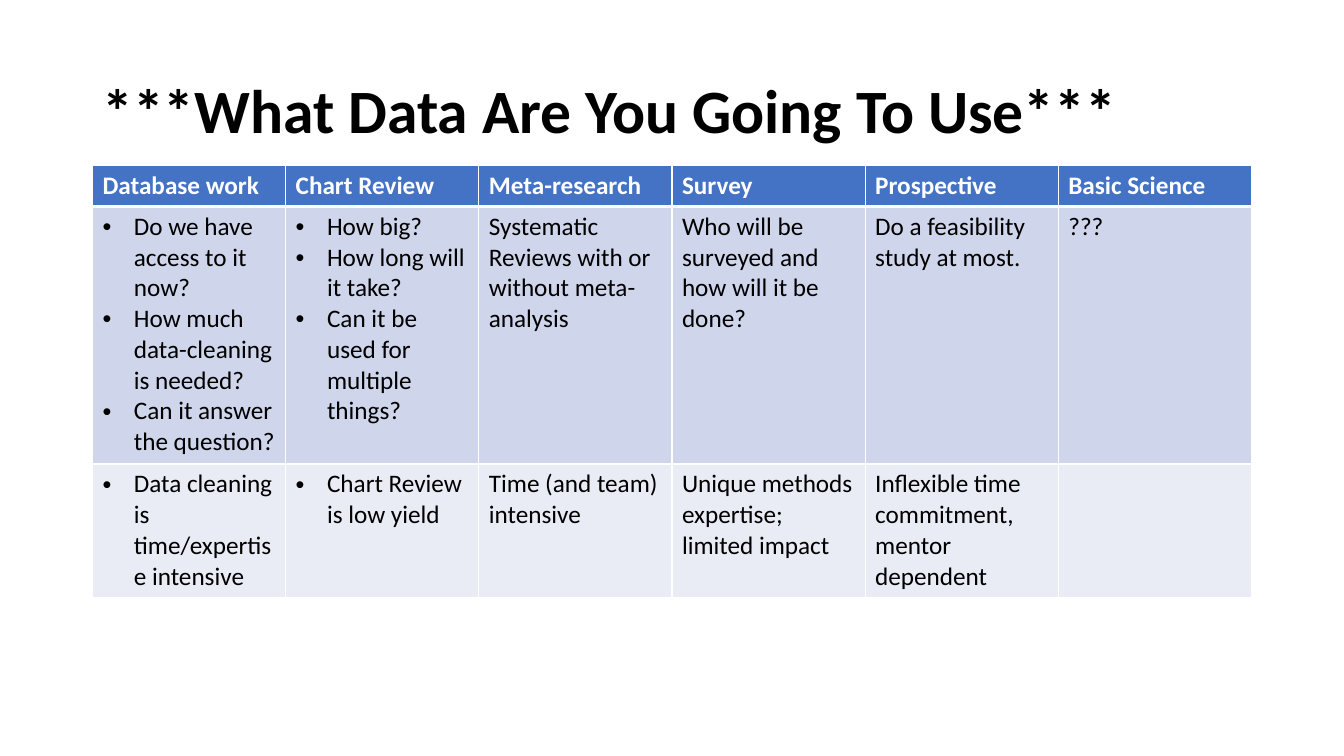
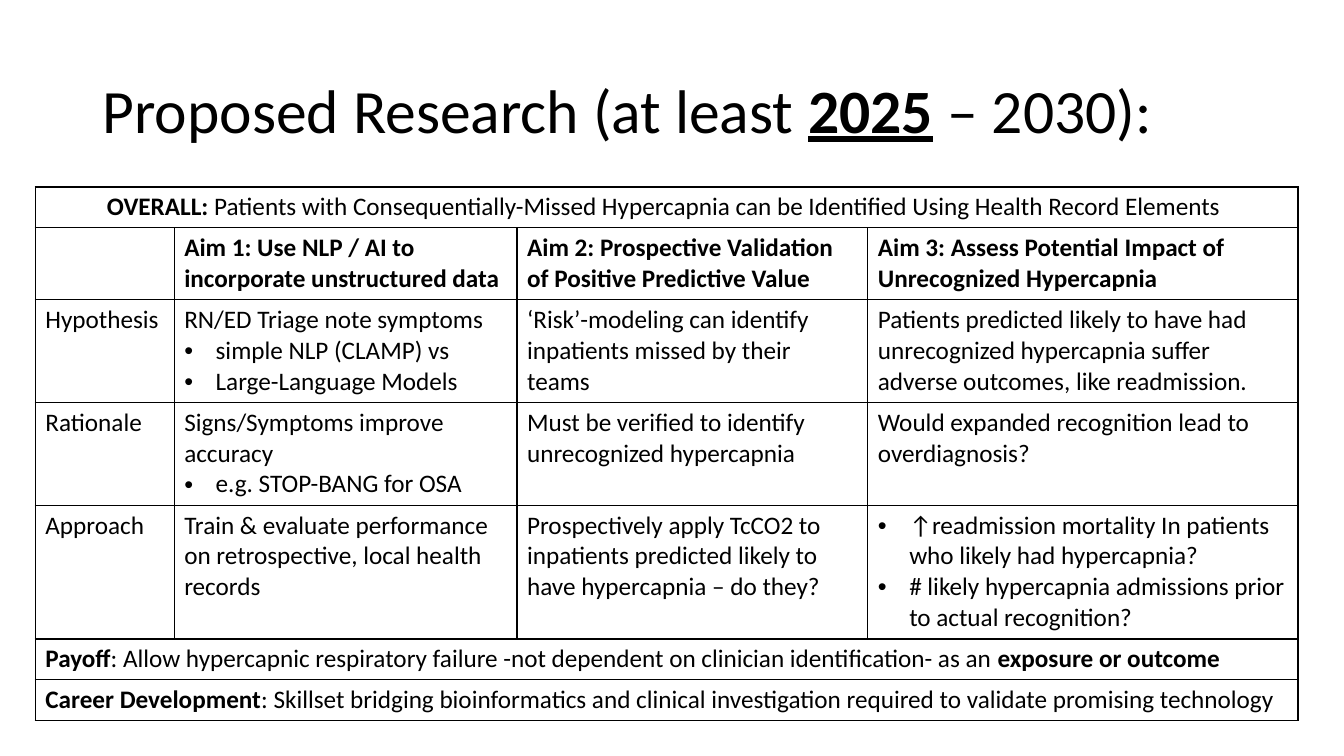
import pptx
import pptx.util
import pptx.dml.color
import pptx.enum.text
from lxml import etree
from pptx.oxml.ns import qn

Cm, Pt = pptx.util.Cm, pptx.util.Pt
ALIGN = pptx.enum.text.PP_ALIGN

COLOURS = {
    "ink": "000000",
    "paper": "FFFFFF",
    "header": "4472C4",
    "band": "CFD5EA",
    "light band": "E9EBF5",
}
FONT = "Calibri"
BULLET = "• "

# Text between bars is bold; a paragraph that starts with a bullet is a list item.
# Each cell is a list of paragraphs.
DATA_TITLE = "|***What Data Are You Going To Use***|"
DATA_ROWS = [
    [["|Database work|"], ["|Chart Review|"], ["|Meta-research|"],
     ["|Survey|"], ["|Prospective|"], ["|Basic Science|"]],
    [["• Do we have access to it now?",
      "• How much data-cleaning is needed?",
      "• Can it answer the question?"],
     ["• How big?",
      "• How long will it take?",
      "• Can it be used for multiple things?"],
     ["Systematic Reviews with or without meta-analysis"],
     ["Who will be surveyed and how will it be done?"],
     ["Do a feasibility study at most."],
     ["???"]],
    [["• Data cleaning is time/expertise intensive"],
     ["• Chart Review is low yield"],
     ["Time (and team) intensive"],
     ["Unique methods expertise; limited impact"],
     ["Inflexible time commitment, mentor dependent"],
     [""]],
]
DATA_LINES = [1, 8, 4]
DATA_FILLS = ["header", "band", "light band"]

AIMS_TITLE = "Proposed Research (at least |2025| – 2030):"
# A row with a single cell spans the table.
AIMS_ROWS = [
    [["|OVERALL: |Patients with Consequentially-Missed Hypercapnia can be "
      "Identified Using Health Record Elements "]],
    [[""],
     ["|Aim 1: Use NLP / AI to incorporate unstructured data|"],
     ["|Aim 2: Prospective Validation of Positive Predictive Value|"],
     ["|Aim 3: Assess Potential Impact of Unrecognized Hypercapnia|"]],
    [["Hypothesis"],
     ["RN/ED Triage note symptoms",
      "• simple NLP (CLAMP) vs",
      "• Large-Language Models"],
     ["‘Risk’-modeling can identify inpatients missed by their teams"],
     ["Patients predicted likely to have had unrecognized hypercapnia "
      "suffer adverse outcomes, like readmission."]],
    [["Rationale"],
     ["Signs/Symptoms improve accuracy",
      "• e.g. STOP-BANG for OSA"],
     ["Must be verified to identify unrecognized hypercapnia"],
     ["Would expanded recognition lead to overdiagnosis?"]],
    [["Approach"],
     ["Train & evaluate performance on retrospective, local health records"],
     ["Prospectively apply TcCO2 to inpatients predicted likely to have "
      "hypercapnia – do they?"],
     ["• ↑readmission mortality In patients who likely had hypercapnia?",
      "• # likely hypercapnia admissions prior to actual recognition?"]],
    [["|Payoff|: Allow hypercapnic respiratory failure -not dependent on "
      "clinician identification- as an |exposure or outcome|"]],
    [["|Career Development|: Skillset bridging bioinformatics and clinical "
      "investigation required to validate promising technology"]],
]
AIMS_LINES = [1, 2, 3, 3, 4, 1, 1]
AIMS_COLUMNS = [3.5, 8.64, 8.84, 10.84]


def rgb(name):
    return pptx.dml.color.RGBColor.from_string(COLOURS[name])


def write(paragraph, text, size, colour="ink", underline_bold=False):
    """Fill a paragraph, reading bars as bold marks and a leading bullet as a list item."""
    if text.startswith(BULLET):
        text = text.removeprefix(BULLET)
        properties = paragraph._p.get_or_add_pPr()
        properties.set("marL", str(Cm(0.79)))
        properties.set("indent", str(-Cm(0.79)))
        etree.SubElement(properties, qn("a:buFont"), typeface="Arial")
        etree.SubElement(properties, qn("a:buChar"), char=BULLET.strip())
    font = paragraph.font
    font.name, font.size = FONT, Pt(size)
    font.color.rgb = rgb(colour)
    parts = [(part, i % 2 == 1) for i, part in enumerate(text.split("|")) if part]
    font.bold = len(parts) == 1 and parts[0][1]
    for part, bold in parts:
        run = paragraph.add_run()
        run.text = part
        if len(parts) > 1:
            run.font.bold = bold
            if bold and underline_bold:
                run.font.underline = True


def set_borders(cell, colour, widths):
    """Draw the left, right, top and bottom edges in points."""
    properties = cell._tc.get_or_add_tcPr()
    for side, width in zip("LRTB", widths):
        line = etree.SubElement(properties, qn(f"a:ln{side}"), w=str(Pt(width)))
        fill = etree.SubElement(line, qn("a:solidFill"))
        etree.SubElement(fill, qn("a:srgbClr"), val=COLOURS[colour])


def add_titled_slide(deck, text):
    slide = deck.slides.add_slide(deck.slide_layouts[5])
    title = slide.shapes.title
    title.left, title.top, title.width, title.height = Cm(2.33), Cm(1.01), Cm(29.21), Cm(3.68)
    frame = title.text_frame
    frame.auto_size = pptx.enum.text.MSO_AUTO_SIZE.NONE
    frame.vertical_anchor = pptx.enum.text.MSO_ANCHOR.MIDDLE
    heading = frame.paragraphs[0]
    heading.alignment = ALIGN.LEFT
    heading.line_spacing = 0.9
    write(heading, text, 44, underline_bold=True)
    return slide


def add_grid(slide, left, top, columns, rows, lines, fills, border, header_rule=1):
    """Add a table whose row heights follow the number of text lines in each row."""
    heights = [0.25 + 0.78 * count for count in lines]
    table = slide.shapes.add_table(len(rows), len(columns), Cm(left), Cm(top),
                                   Cm(sum(columns)), Cm(sum(heights))).table
    table.first_row = table.horz_banding = False
    for column, width in zip(table.columns, columns):
        column.width = Cm(width)
    for r, (row, height, fill) in enumerate(zip(rows, heights, fills)):
        table.rows[r].height = Cm(height)
        edges = (1, 1, header_rule if r == 1 else 1, header_rule if r == 0 else 1)
        for c in range(len(columns)):
            cell = table.cell(r, c)
            set_borders(cell, border, edges)
            cell.fill.solid()
            cell.fill.fore_color.rgb = rgb(fill)
        if len(row) == 1:
            table.cell(r, 0).merge(table.cell(r, len(columns) - 1))
        for c, texts in enumerate(row):
            frame = table.cell(r, c).text_frame
            for i, text in enumerate(texts):
                paragraph = frame.add_paragraph() if i else frame.paragraphs[0]
                write(paragraph, text, 18, "paper" if fill == "header" else "ink")
    return table


def main():
    deck = pptx.Presentation()
    deck.slide_width, deck.slide_height = Cm(33.87), Cm(19.05)

    data_slide = add_titled_slide(deck, DATA_TITLE)
    add_grid(data_slide, 2.33, 4.17, [29.21 / 6] * 6, DATA_ROWS, DATA_LINES,
             DATA_FILLS, "paper", header_rule=3)

    aims_slide = add_titled_slide(deck, AIMS_TITLE)
    aims = add_grid(aims_slide, 0.89, 4.71, AIMS_COLUMNS, AIMS_ROWS, AIMS_LINES,
                    ["paper"] * len(AIMS_ROWS), "ink")
    aims.cell(0, 0).text_frame.paragraphs[0].alignment = ALIGN.CENTER

    deck.save("out.pptx")


if __name__ == "__main__":
    main()
